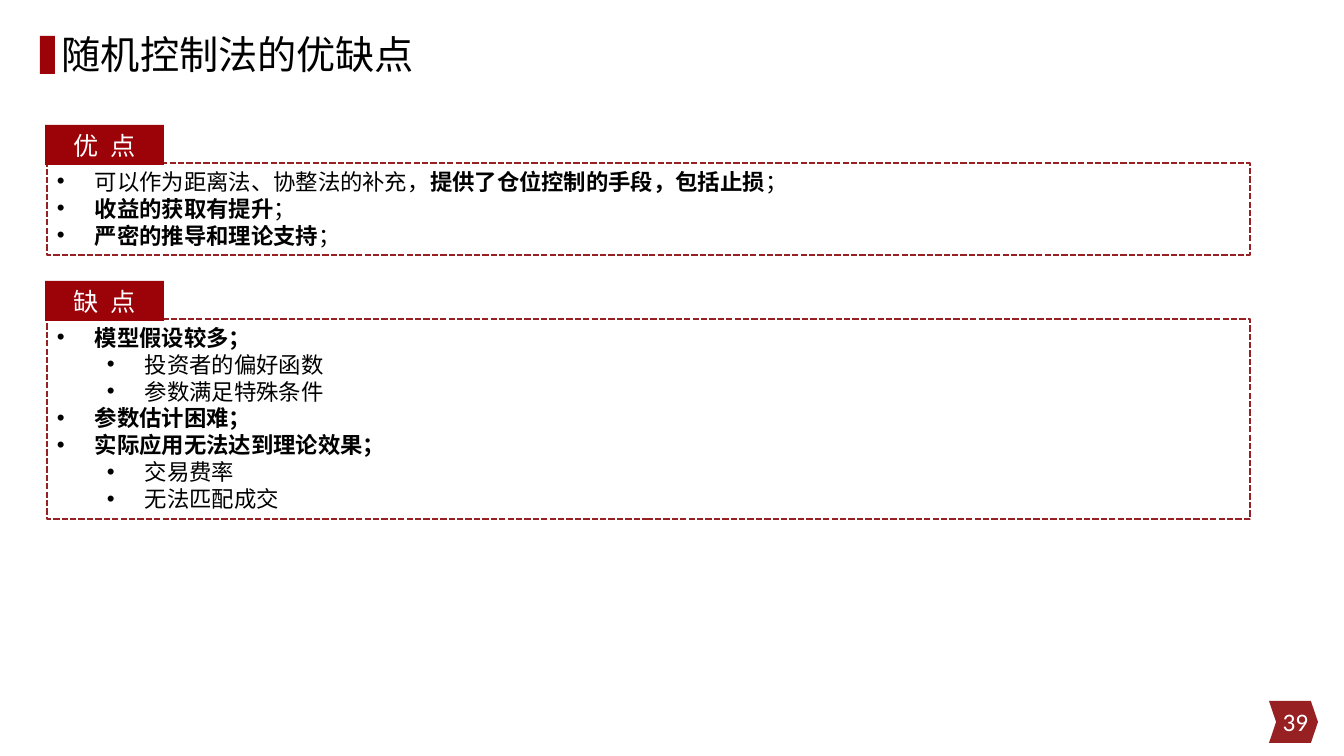
from dataclasses import dataclass

import pptx
import pptx.dml.color
import pptx.enum.dml
import pptx.enum.lang
import pptx.enum.shapes
import pptx.enum.text
import pptx.oxml.ns
import pptx.util
from lxml import etree

SHAPES = pptx.enum.shapes.MSO_SHAPE
ALIGN = pptx.enum.text.PP_ALIGN
ANCHOR = pptx.enum.text.MSO_ANCHOR


@dataclass(frozen=True)
class Theme:
    red: str = "9C0308"
    dark_red: str = "972022"
    black: str = "000000"
    white: str = "FFFFFF"
    body_font: str = "Calibri"
    title_font: str = "Noto Sans CJK SC"
    title_size: int = 28
    label_size: int = 18
    body_size: int = 16


class SlideBuilder:
    EMU_PER_PX = 914400 / 100.8

    def __init__(self, presentation, theme):
        self.theme = theme
        presentation.slide_width = self.px(1344)
        presentation.slide_height = self.px(756)
        self.slide = presentation.slides.add_slide(presentation.slide_layouts[6])

    def px(self, length):
        return pptx.util.Emu(round(length * self.EMU_PER_PX))

    def color(self, name):
        return pptx.dml.color.RGBColor.from_string(name)

    def shape(self, kind, box, fill=None):
        shape = self.slide.shapes.add_shape(kind, *map(self.px, box))
        shape.shadow.inherit = False
        shape.line.fill.background()
        if fill:
            shape.fill.solid()
            shape.fill.fore_color.rgb = self.color(fill)
        else:
            shape.fill.background()
        return shape

    def fill_paragraph(self, paragraph, runs, size, color, font=None, align=ALIGN.LEFT):
        paragraph.alignment = align
        paragraph.font.name = font or self.theme.body_font
        paragraph.font.size = pptx.util.Pt(size)
        paragraph.font.color.rgb = self.color(color)
        weights = {bold for _, bold in runs}
        if len(weights) == 1:
            paragraph.font.bold = weights.pop()
        for text, bold in runs:
            run = paragraph.add_run()
            run.text = text
            run.font.language_id = pptx.enum.lang.MSO_LANGUAGE_ID.SIMPLIFIED_CHINESE
            if paragraph.font.bold is None:
                run.font.bold = bold

    def text(self, text, box, size, color, font=None, align=ALIGN.LEFT):
        frame = self.slide.shapes.add_textbox(*map(self.px, box)).text_frame
        frame.word_wrap = True
        frame.vertical_anchor = ANCHOR.MIDDLE
        paragraph = frame.paragraphs[0]
        self.fill_paragraph(paragraph, [(text, False)], size, color, font, align)
        return paragraph

    def label(self, text, left, top):
        shape = self.shape(SHAPES.RECTANGLE, (left, top, 119, 40), self.theme.red)
        frame = shape.text_frame
        frame.vertical_anchor = ANCHOR.TOP
        paragraph = frame.paragraphs[0]
        self.fill_paragraph(paragraph, [(text, False)], self.theme.label_size,
                            self.theme.white, align=ALIGN.CENTER)
        paragraph.runs[0].font._element.set("spc", "200")

    def bullet(self, paragraph, level):
        paragraph.level = level
        properties = paragraph._p.get_or_add_pPr()
        properties.set("marL", str(self.px(38 + 50 * level)))
        properties.set("indent", str(-self.px(38)))
        font = etree.Element(pptx.oxml.ns.qn("a:buFont"), typeface="Arial")
        mark = etree.Element(pptx.oxml.ns.qn("a:buChar"), char="•")
        properties.insert(0, font)
        properties.insert(1, mark)

    def bullet_box(self, items, left, top):
        box = (left, top, 1203, 27 * len(items) + 11)
        shape = self.shape(SHAPES.RECTANGLE, box)
        shape.line.color.rgb = self.color(self.theme.dark_red)
        shape.line.width = pptx.util.Pt(1.5)
        shape.line.dash_style = pptx.enum.dml.MSO_LINE.SQUARE_DOT
        frame = shape.text_frame
        frame.word_wrap = True
        frame.vertical_anchor = ANCHOR.TOP
        frame.auto_size = pptx.enum.text.MSO_AUTO_SIZE.SHAPE_TO_FIT_TEXT
        for index, (level, runs) in enumerate(items):
            paragraph = frame.add_paragraph() if index else frame.paragraphs[0]
            self.fill_paragraph(paragraph, runs, self.theme.body_size, self.theme.black)
            self.bullet(paragraph, level)

    def section(self, heading, items, top):
        self.bullet_box(items, 47, top + 38)
        self.label(heading, 45, top)


ADVANTAGES = [
    (0, [("可以作为距离法、协整法的补充，", False),
         ("提供了仓位控制的手段，包括止损", True), ("；", False)]),
    (0, [("收益的获取有提升", True), ("；", False)]),
    (0, [("严密的推导和理论支持", True), ("；", False)]),
]
DRAWBACKS = [
    (0, [("模型假设较多；", True)]),
    (1, [("投资者的偏好函数", False)]),
    (1, [("参数满足特殊条件", False)]),
    (0, [("参数估计困难；", True)]),
    (0, [("实际应用无法达到理论效果；", True)]),
    (1, [("交易费率", False)]),
    (1, [("无法匹配成交", False)]),
]


def main():
    presentation = pptx.Presentation()
    theme = Theme()
    builder = SlideBuilder(presentation, theme)

    page_marker = builder.shape(SHAPES.CHEVRON, (1269, 701, 49, 42), theme.dark_red)
    page_marker.adjustments[0] = 0.17
    builder.shape(SHAPES.RECTANGLE, (40, 36, 15, 38), theme.red)
    title = builder.text("随机控制法的优缺点", (52, 0, 1140, 114), theme.title_size,
                         theme.black, theme.title_font)
    title.line_spacing = 0.9
    builder.text("39", (1016, 701, 302, 40), theme.label_size, theme.white,
                 align=ALIGN.RIGHT)

    builder.section("优 点", ADVANTAGES, 125)
    builder.section("缺 点", DRAWBACKS, 281)
    presentation.save("out.pptx")


if __name__ == "__main__":
    main()
